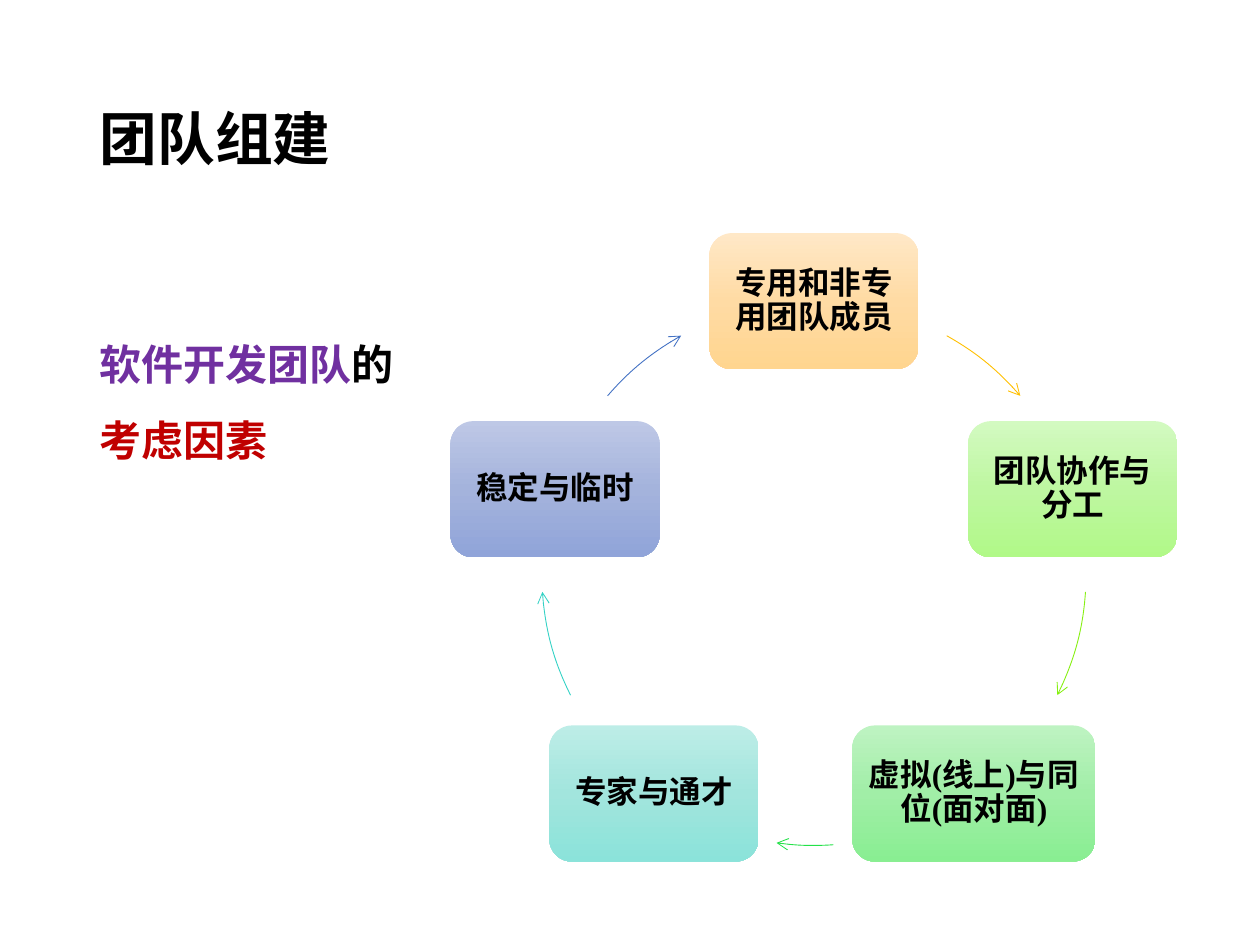
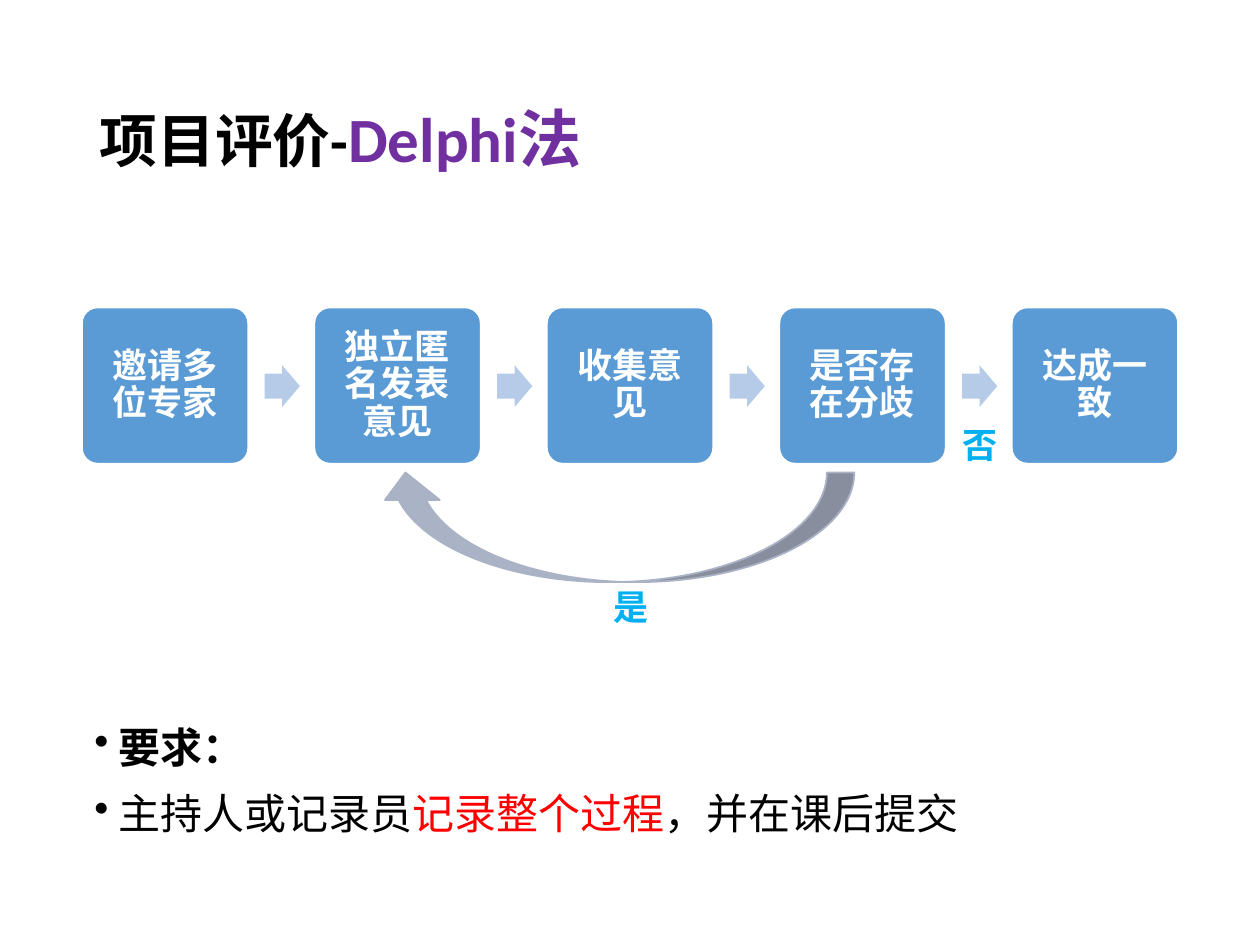
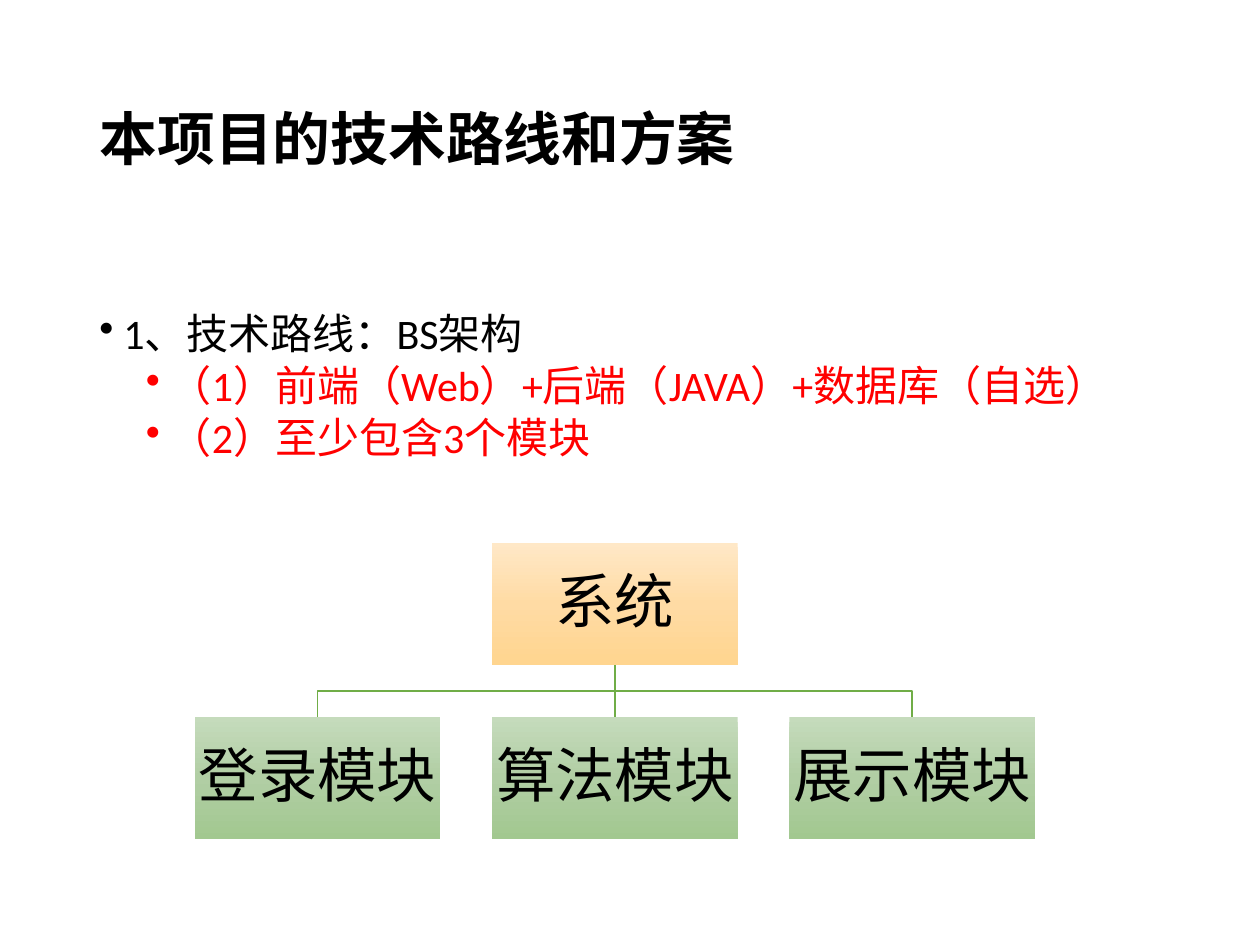
from copy import deepcopy
from math import cos, radians, sin

from lxml.etree import SubElement
from pptx import Presentation
from pptx.dml.color import RGBColor
from pptx.enum.shapes import MSO_CONNECTOR, MSO_SHAPE
from pptx.enum.text import MSO_ANCHOR, MSO_AUTO_SIZE, PP_ALIGN
from pptx.oxml.ns import qn
from pptx.util import Inches, Pt

COLORS = {
    "black": "000000", "white": "FFFFFF", "purple": "7030A0",
    "dark_red": "C00000", "red": "FF0000", "sky": "00B0F0",
    "step": "5B9BD5", "step_arrow": "B5CBE7", "loop": "AAB2C5",
    "branch": "70AD47", "gold_arc": "FFC000", "lime_arc": "86F011",
    "green_arc": "23E148", "teal_arc": "33D2C5", "blue_arc": "4472C4",
}
GRADIENTS = {
    "gold": ("FFE8C7", "FFDBA4", "FFD58F"),
    "lime": ("D3FAC1", "BEF7A1", "B1F988"),
    "green": ("BEF3C2", "A1EEA7", "89EE92"),
    "teal": ("BDEDE7", "A2E5DD", "8BE3DA"),
    "blue": ("BEC8E6", "A4B3DC", "90A4D9"),
    "sage": ("C5DBBC", "B1CEA4", "A2C890"),
}
SANS, SERIF = "Calibri", "Times New Roman"


def rgb(name):
    """Look up a named colour."""
    return RGBColor.from_string(COLORS[name])


class DeckStyle:
    """Holds the shared style and the slide being drawn."""

    def __init__(self):
        """Start an empty 4:3 deck."""
        self.deck = Presentation()
        self.deck.slide_width, self.deck.slide_height = Inches(10), Inches(7.5)
        self.page = None

    def new_page(self, *title_spans):
        """Add a slide with a left-aligned title."""
        self.page = self.deck.slides.add_slide(self.deck.slide_layouts[5])
        title = self.page.shapes.title
        title.left, title.top = Inches(0.69), Inches(0.4)
        title.width, title.height = Inches(8.62), Inches(1.45)
        frame = title.text_frame
        frame.auto_size = MSO_AUTO_SIZE.NONE
        frame.vertical_anchor = MSO_ANCHOR.MIDDLE
        self.set_text(frame.paragraphs[0], title_spans, 33, bold=True)

    def set_text(self, para, spans, size, font=SANS, bold=False,
                 align=PP_ALIGN.LEFT, spacing=0.9):
        """Fill a paragraph with (text, colour[, size]) spans."""
        para.alignment, para.line_spacing = align, spacing
        para.font.name, para.font.size, para.font.bold = font, Pt(size), bold
        for text, color, *own_size in spans:
            span = para.add_run()
            span.text = text
            span.font.color.rgb = rgb(color)
            if own_size:
                span.font.size = Pt(own_size[0])

    def text_frame(self, left, top, width, height):
        """Add a wrapping text box and return its frame."""
        box = self.page.shapes.add_textbox(
            Inches(left), Inches(top), Inches(width), Inches(height))
        box.text_frame.word_wrap = True
        return box.text_frame

    def bullet(self, para, indent):
        """Give a paragraph a hanging round bullet."""
        settings = para._p.get_or_add_pPr()
        settings.set("marL", str(Inches(indent)))
        settings.set("indent", str(-Inches(0.19)))
        SubElement(settings, qn("a:buChar")).set("char", "•")

    def shape(self, kind, left, top, width, height, fill=None, line=None):
        """Add a preset shape with a plain or gradient fill."""
        shape = self.page.shapes.add_shape(
            kind, Inches(left), Inches(top), Inches(width), Inches(height))
        shape.shadow.inherit = False
        if fill in GRADIENTS:
            self.gradient(shape, GRADIENTS[fill])
        elif fill:
            shape.fill.solid()
            shape.fill.fore_color.rgb = rgb(fill)
        else:
            shape.fill.background()
        self.outline(shape, line)
        return shape

    def gradient(self, shape, hexes):
        """Fill a shape from top to bottom with three colours."""
        shape.fill.gradient()
        shape.fill.gradient_angle = 270
        stops = shape._element.spPr.find(".//" + qn("a:gsLst"))
        stops.insert(1, deepcopy(stops[0]))
        for index, stop in enumerate(shape.fill.gradient_stops):
            stop.position = index / 2
            stop.color.rgb = RGBColor.from_string(hexes[index])

    def outline(self, shape, color, width=1):
        """Set or remove the line of a shape."""
        if color:
            shape.line.color.rgb = rgb(color)
            shape.line.width = Pt(width)
        else:
            shape.line.fill.background()

    def label(self, shape, text, size, inset, color="black", font=SERIF, bold=True):
        """Put centred text inside a shape."""
        frame = shape.text_frame
        frame.word_wrap = True
        frame.vertical_anchor = MSO_ANCHOR.MIDDLE
        frame.margin_left = frame.margin_right = Inches(inset)
        frame.margin_top = frame.margin_bottom = Inches(inset)
        self.set_text(frame.paragraphs[0], [(text, color)], size, font, bold,
                      PP_ALIGN.CENTER)

    def arc_arrow(self, center, radius, start, end, color):
        """Draw a circular arc, angles clockwise from the right, with a head."""
        arc = self.shape(MSO_SHAPE.ARC, center[0] - radius, center[1] - radius,
                         2 * radius, 2 * radius)
        # Angles are kept in 1/60000 degree, adjustments in 1/100000.
        arc.adjustments[0], arc.adjustments[1] = start * 0.6, end * 0.6
        self.outline(arc, color, 0.5)
        line = arc._element.spPr.find(qn("a:ln"))
        SubElement(line, qn("a:tailEnd")).set("type", "arrow")

    def branch(self, start, end):
        """Link a parent's bottom to a child's top with square corners."""
        (x1, y1), (x2, y2) = start, end
        if x1 == x2:
            link = self.page.shapes.add_connector(
                MSO_CONNECTOR.STRAIGHT, *map(Inches, (x1, y1, x2, y2)))
            SubElement(link._element.spPr, qn("a:effectLst"))
        else:
            middle = (y1 + y2) / 2
            points = [(x1, middle), (x2, middle), (x2, y2)]
            builder = self.page.shapes.build_freeform(Inches(x1), Inches(y1))
            builder.add_line_segments(
                [(Inches(x), Inches(y)) for x, y in points], close=False)
            link = builder.convert_to_shape()
            link.shadow.inherit = False
            link.fill.background()
        self.outline(link, "branch")


def team_page(style):
    """Draw the cycle of team factors."""
    style.new_page(("团队组建", "black"))
    frame = style.text_frame(0.69, 2.44, 7.21, 3.57)
    lines = [[("软件开发团队", "purple"), ("的", "black")],
             [("考虑因素", "dark_red")]]
    for index, spans in enumerate(lines):
        para = frame.add_paragraph() if index else frame.paragraphs[0]
        style.set_text(para, spans, 24, SERIF, True, spacing=1.5)

    center, radius, height = (6.46, 4.55), 2.16, 1.08
    factors = [
        ("专用和非专用团队成员", 1.66, "gold", 299.2, 319.3),
        ("团队协作与分工", 1.66, "lime", 3.9, 26.6),
        ("虚拟(线上)与同位(面对面)", 1.93, "green", 85.9, 97.9),
        ("专家与通才", 1.66, "teal", 153.4, 176.1),
        ("稳定与临时", 1.66, "blue", 220.7, 240.8),
    ]
    for index, (text, width, hue, start, end) in enumerate(factors):
        angle = radians(-90 + index * 360 / len(factors))
        x, y = center[0] + radius * cos(angle), center[1] + radius * sin(angle)
        factor = style.shape(MSO_SHAPE.ROUNDED_RECTANGLE, x - width / 2,
                             y - height / 2, width, height, hue)
        style.label(factor, text, 18, 0.07)
        style.arc_arrow(center, radius, start, end, hue + "_arc")


def delphi_page(style):
    """Draw the review steps with their loop."""
    style.new_page(("项目评价-", "black"), ("Delphi法", "purple", 36))
    steps = ["邀请多位专家", "独立匿名发表意见", "收集意见", "是否存在分歧", "达成一致"]
    first, last = 0.65, 8.03
    for index, text in enumerate(steps):
        left = first + index * (last - first) / (len(steps) - 1)
        step = style.shape(MSO_SHAPE.ROUNDED_RECTANGLE, left, 2.44, 1.32, 1.24,
                           "step", "white")
        step.adjustments[0] = 0.1
        style.label(step, text, 20, 0.08, "white")
        if index < len(steps) - 1:
            arrow = style.shape(MSO_SHAPE.RIGHT_ARROW, left + 1.45, 2.9,
                                0.28, 0.33, "step_arrow")
            arrow.adjustments[0] = 0.6

    loop = style.shape(MSO_SHAPE.CURVED_DOWN_ARROW, 3, 3.75, 3.78, 0.87,
                       "loop", "loop")
    loop.rotation = 180
    for text, left, top in [("是", 4.77, 4.6), ("否", 7.54, 3.31)]:
        frame = style.text_frame(left, top, 0.45, 0.44)
        style.set_text(frame.paragraphs[0], [(text, "sky")], 20, bold=True, spacing=1)

    frame = style.text_frame(0.65, 5.72, 9.01, 1.13)
    demands = [
        (True, [("要求：", "black")]),
        (False, [("主持人或记录员", "black"), ("记录整个过程", "red"),
                 ("，并在课后提交", "black")]),
    ]
    for index, (bold, spans) in enumerate(demands):
        para = frame.add_paragraph() if index else frame.paragraphs[0]
        style.set_text(para, spans, 24, bold=bold)
        para.space_before = para.space_after = Pt(6)
        style.bullet(para, 0.19)


def route_page(style):
    """Draw the technical route and the module tree."""
    style.new_page(("本项目的技术路线和方案", "black"))
    frame = style.text_frame(0.69, 2.44, 8.62, 3.57)
    points = [
        (0, "1、技术路线：BS架构", "black"),
        (1, "（1）前端（Web）+后端（JAVA）+数据库（自选）", "red"),
        (1, "（2）至少包含3个模块", "red"),
    ]
    for index, (level, text, color) in enumerate(points):
        para = frame.add_paragraph() if index else frame.paragraphs[0]
        style.set_text(para, [(text, color)], 24)
        para.level = level
        para.space_before = Pt(3.8 if level else 7.5)
        style.bullet(para, 0.56 if level else 0.19)

    width, height, root_top, child_top = 1.95, 0.97, 4.31, 5.69
    root_x, step = 4.88, 2.36
    nodes = [("系统", root_x, root_top, "gold")]
    for index, text in enumerate(["登录模块", "算法模块", "展示模块"]):
        x = root_x + (index - 1) * step
        style.branch((root_x, root_top + height), (x, child_top))
        nodes.append((text, x, child_top, "sage"))
    for text, x, top, hue in nodes:
        node = style.shape(MSO_SHAPE.RECTANGLE, x - width / 2, top,
                           width, height, hue)
        style.label(node, text, 34, 0.02, font=SANS, bold=False)


style = DeckStyle()
team_page(style)
delphi_page(style)
route_page(style)
style.deck.save("out.pptx")
